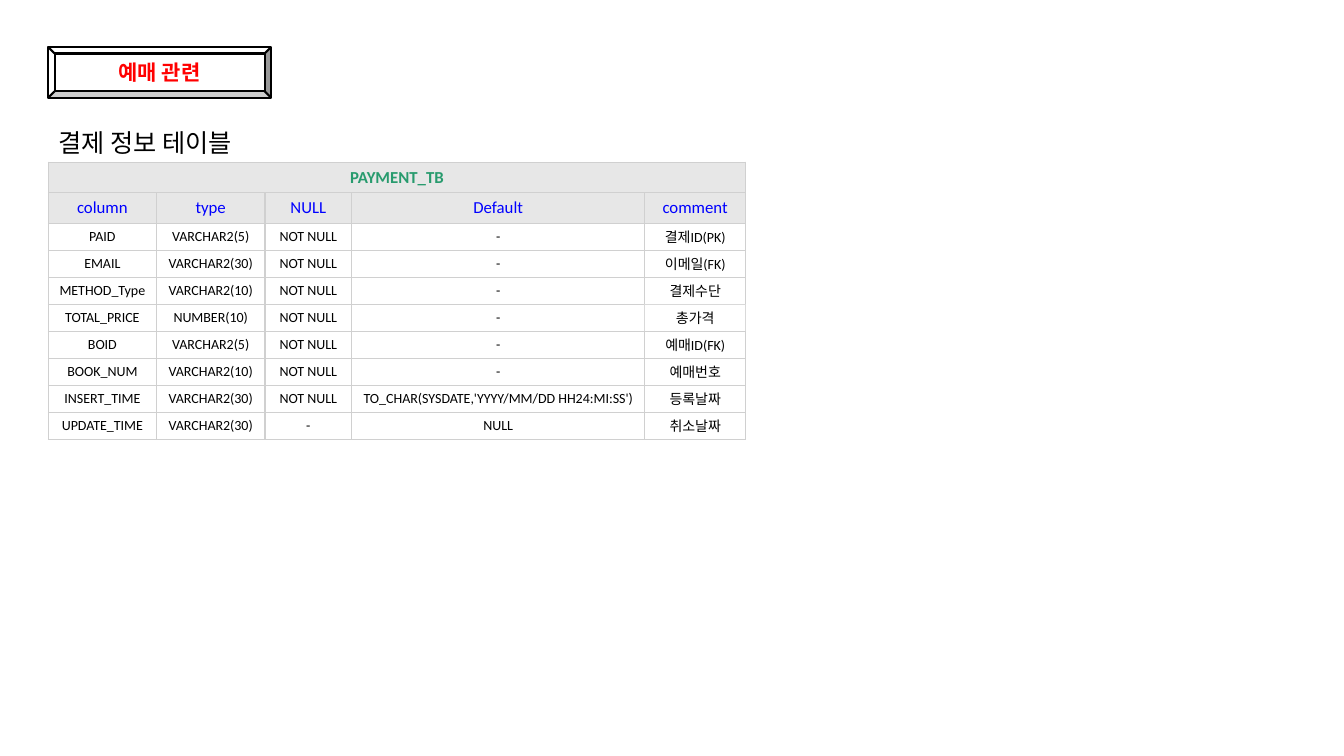
from dataclasses import dataclass

from lxml import etree
from pptx import Presentation
from pptx import util as u
from pptx.dml.color import RGBColor
from pptx.enum import shapes, text
from pptx.oxml import ns

FONT = "Calibri"
HEX = {
    "white": "FFFFFF", "black": "000000", "red": "FF0000", "blue": "0000FF",
    "green": "289B6E", "head": "E7E7E7", "grid": "D0D0D0", "pale": "D9D9D9",
}
LEFT = u.Cm(1.22)
WIDTHS = [2.72, 2.74, 2.18, 7.39, 2.54]
HEAD_H, BODY_H = 0.77, 0.68

NAME = "PAYMENT_TB"
HEADS = ("column", "type", "NULL", "Default", "comment")
FIELDS = [
    ("PAID", "VARCHAR2(5)", "NOT NULL", "-", "결제ID(PK)"),
    ("EMAIL", "VARCHAR2(30)", "NOT NULL", "-", "이메일(FK)"),
    ("METHOD_Type", "VARCHAR2(10)", "NOT NULL", "-", "결제수단"),
    ("TOTAL_PRICE", "NUMBER(10)", "NOT NULL", "-", "총가격"),
    ("BOID", "VARCHAR2(5)", "NOT NULL", "-", "예매ID(FK)"),
    ("BOOK_NUM", "VARCHAR2(10)", "NOT NULL", "-", "예매번호"),
    ("INSERT_TIME", "VARCHAR2(30)", "NOT NULL",
     "TO_CHAR(SYSDATE,'YYYY/MM/DD HH24:MI:SS')", "등록날짜"),
    ("UPDATE_TIME", "VARCHAR2(30)", "-", "NULL", "취소날짜"),
]


@dataclass(frozen=True)
class Style:
    size: float
    color: str
    bold: bool = False
    fill: str = "white"
    align: text.PP_ALIGN = text.PP_ALIGN.CENTER
    pad: float = 0.13


BADGE = Style(15, "red", bold=True)
TITLE = Style(18, "black", align=text.PP_ALIGN.LEFT)
NAMED = Style(12, "green", bold=True, fill="head")
HEADED = Style(12, "blue", fill="head")
BODY = Style(10, "black", pad=0.08)


def rgb(name: str) -> RGBColor:
    return RGBColor.from_string(HEX[name])


def write(frame, words: str, style: Style) -> None:
    para = frame.paragraphs[0]
    para.alignment = style.align
    run = para.add_run()
    run.text = words
    run.font.name = FONT
    run.font.size = u.Pt(style.size)
    run.font.bold = style.bold
    run.font.color.rgb = rgb(style.color)


def edge(cell, color: str) -> None:
    """Draw a one-point line on all four sides of a cell."""
    props = cell._tc.get_or_add_tcPr()
    for spot, side in enumerate(("lnL", "lnR", "lnT", "lnB")):
        line = etree.Element(ns.qn(f"a:{side}"), w=str(u.Pt(1)))
        fill = etree.SubElement(line, ns.qn("a:solidFill"))
        etree.SubElement(fill, ns.qn("a:srgbClr"), val=HEX[color])
        props.insert(spot, line)


def dress(cell, style: Style, color: str = "grid") -> None:
    cell.fill.solid()
    cell.fill.fore_color.rgb = rgb(style.fill)
    cell.vertical_anchor = text.MSO_ANCHOR.MIDDLE
    cell.margin_top = cell.margin_bottom = u.Cm(style.pad)
    edge(cell, color)


def add_badge(slide) -> None:
    badge = slide.shapes.add_shape(
        shapes.MSO_SHAPE.BEVEL, LEFT, u.Cm(1.19), u.Cm(5.61), u.Cm(1.27))
    badge.adjustments[0] = 0.125
    badge.shadow.inherit = False
    badge.fill.solid()
    badge.fill.fore_color.rgb = rgb("white")
    badge.line.color.rgb = rgb("black")
    badge.line.width = u.Pt(1.5)
    badge.text_frame.vertical_anchor = text.MSO_ANCHOR.MIDDLE
    write(badge.text_frame, "예매 관련", BADGE)


def set_title(slide) -> None:
    title = slide.shapes.title
    title.left, title.top = LEFT, u.Cm(3.07)
    title.width, title.height = u.Cm(7.57), u.Cm(1.02)
    frame = title.text_frame
    frame.word_wrap = True
    frame.auto_size = text.MSO_AUTO_SIZE.SHAPE_TO_FIT_TEXT
    frame.vertical_anchor = text.MSO_ANCHOR.TOP
    write(frame, "결제 정보 테이블", TITLE)


def add_grid(slide) -> None:
    rows = [(NAME,), HEADS, *FIELDS]
    styles = [NAMED, HEADED] + [BODY] * len(FIELDS)
    tall = [HEAD_H] * 2 + [BODY_H] * len(FIELDS)
    grid = slide.shapes.add_table(
        len(rows), len(WIDTHS), LEFT, u.Cm(4.09),
        u.Cm(sum(WIDTHS)), u.Cm(sum(tall))).table
    for col, width in zip(grid.columns, WIDTHS):
        col.width = u.Cm(width)
    grid.cell(0, 0).merge(grid.cell(0, len(WIDTHS) - 1))
    for r, (words, style) in enumerate(zip(rows, styles)):
        grid.rows[r].height = u.Cm(tall[r])
        for c in range(len(WIDTHS)):
            cell = grid.cell(r, c)
            pale = words[-1] == "총가격" and c == len(WIDTHS) - 1
            dress(cell, style, "pale" if pale else "grid")
            if c < len(words):
                write(cell.text_frame, words[c], style)


def main() -> None:
    deck = Presentation()
    deck.slide_width, deck.slide_height = u.Cm(33.87), u.Cm(19.05)
    slide = deck.slides.add_slide(deck.slide_layouts[5])
    add_badge(slide)
    set_title(slide)
    add_grid(slide)
    deck.save("out.pptx")


if __name__ == "__main__":
    main()
